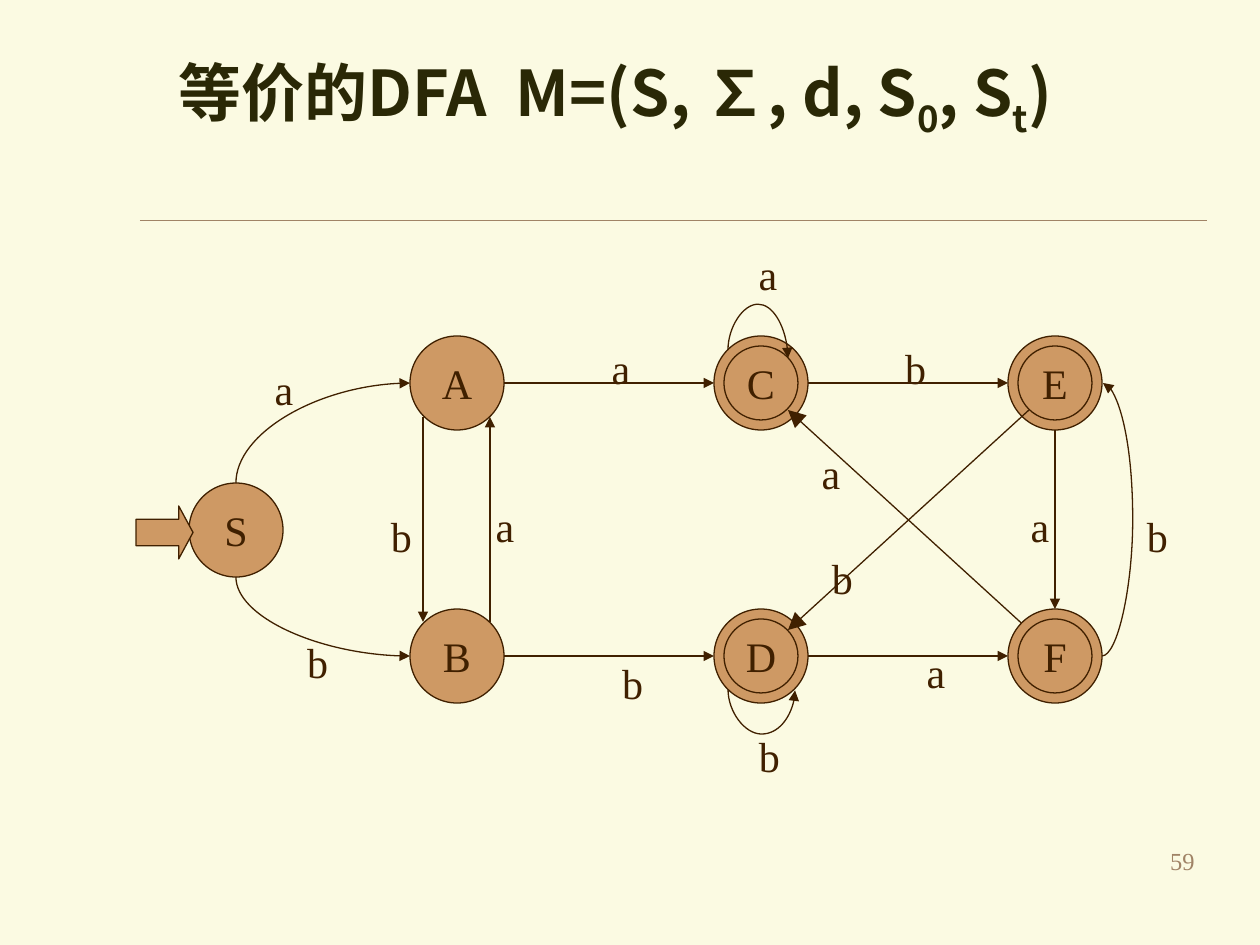
from lxml import etree
from pptx import Presentation, util as u
from pptx.dml.color import RGBColor
from pptx.enum import shapes, text
from pptx.oxml.ns import qn

CREAM = RGBColor(0xFB, 0xFA, 0xE2)
TAN = RGBColor(0xCE, 0x99, 0x64)
BROWN = RGBColor(0x40, 0x20, 0x00)
OLIVE = RGBColor(0x2A, 0x28, 0x06)
DUST = RGBColor(0xA0, 0x83, 0x66)
SERIF, SANS = "Times New Roman", "Noto Sans CJK SC"
SHAPE, LINK = shapes.MSO_SHAPE, shapes.MSO_CONNECTOR
ALIGN, ANCHOR = text.PP_ALIGN, text.MSO_ANCHOR

# Content: title runs as (text, font, is subscript)
TITLE = [("等价的", SERIF, False), ("DFA  M=(S, ∑, d, S", SANS, False),
         ("0", SANS, True), (", S", SANS, False), ("t", SANS, True),
         (")", SANS, False)]
# State: centre x, centre y, is accepting
STATES = {"S": (236, 530, False), "A": (457, 383, False),
          "B": (457, 656, False), "C": (761, 383, True),
          "D": (761, 656, True), "E": (1055, 383, True),
          "F": (1055, 656, True)}
RADIUS, INNER_RADIUS = 47, 37
HORIZONTAL = ["AC", "CE", "BD", "DF"]
VERTICAL = [((423, 417), (423, 622)), ((490, 622), (490, 417)),
            ((1055, 430), (1055, 609))]
DIAGONAL = [((1029, 630), (788, 410)), ((1029, 410), (788, 630))]
# Curve: start, end, rotation, flip, bulge (None for a quarter curve)
CURVES = [((236, 483), (410, 383), 270, None, None),
          ((236, 577), (410, 656), 270, "flipH", None),
          ((1102, 656), (1102, 383), 0, "flipV", 31),
          ((728, 350), (788, 358), 90, "flipV", -46),
          ((728, 690), (795, 690), 270, "flipH", 45)]
# Transition letters: left and top of each label
LABELS = {"a": [(746, 242), (262, 357), (483, 494), (599, 336), (1018, 494),
                (914, 640), (809, 441)],
          "b": [(1134, 504), (294, 630), (378, 504), (609, 651), (892, 336),
                (746, 724), (819, 546)]}
LABEL_WIDTH = {"a": 44, "b": 47}


def px(length):
    return u.Emu(round(length * 914400 / 126))


presentation = Presentation()
presentation.slide_width, presentation.slide_height = px(1260), px(945)
slide = presentation.slides.add_slide(presentation.slide_layouts[6])
slide.background.fill.solid()
slide.background.fill.fore_color.rgb = CREAM


def write(frame, runs, size=24, color=BROWN, bold=False, align=ALIGN.CENTER,
          anchor=ANCHOR.MIDDLE, wrap=False):
    frame.word_wrap = wrap
    frame.vertical_anchor = anchor
    paragraph = frame.paragraphs[0]
    paragraph.alignment = align
    for words, face, subscript in runs:
        run = paragraph.add_run()
        run.text = words
        font = run.font
        font.name, font.size, font.bold = face, u.Pt(size), bold
        font.color.rgb = color
        properties = run._r.get_or_add_rPr()
        etree.SubElement(properties, qn("a:ea")).set("typeface", SANS)
        if subscript:
            properties.set("baseline", "-25000")


def add_text(left, top, width, height, runs, **style):
    box = slide.shapes.add_textbox(px(left), px(top), px(width), px(height))
    write(box.text_frame, runs, **style)
    return box


def add_filled(kind, left, top, width, height):
    shape = slide.shapes.add_shape(kind, px(left), px(top), px(width), px(height))
    shape.shadow.inherit = False
    shape.fill.solid()
    shape.fill.fore_color.rgb = TAN
    shape.line.color.rgb = BROWN
    shape.line.width = u.Pt(0.75)
    return shape


def add_state(name):
    x, y, accepting = STATES[name]
    for radius in (RADIUS, INNER_RADIUS) if accepting else (RADIUS,):
        circle = add_filled(SHAPE.OVAL, x - radius, y - radius, 2 * radius, 2 * radius)
    write(circle.text_frame, [(name, SERIF, False)])


def add_line(start, end, kind=LINK.STRAIGHT, color=BROWN, width=0.75, head="med"):
    line = slide.shapes.add_connector(kind, *map(px, start + end))
    line.line.color.rgb = color
    line.line.width = u.Pt(width)
    if head:
        tail = etree.SubElement(line.line._get_or_add_ln(), qn("a:tailEnd"))
        for key, value in (("type", "triangle"), ("w", head), ("len", head)):
            tail.set(key, value)
    etree.SubElement(line._element.spPr, qn("a:effectLst"))
    return line


def add_curve(start, end, rotation, flip, bulge):
    curve = add_line(start, end, LINK.CURVE)
    width, height = (max(1, abs(b - a)) for a, b in zip(start, end))
    if rotation:
        width, height = height, width
    properties = curve._element.spPr
    frame = properties.find(qn("a:xfrm"))
    for key in ("flipH", "flipV"):
        frame.attrib.pop(key, None)
    curve.left = px((start[0] + end[0] - width) / 2)
    curve.top = px((start[1] + end[1] - height) / 2)
    if not rotation:
        curve.left = px(start[0])
    curve.width, curve.height = px(width), px(height)
    frame.set("rot", str(rotation * 60000))
    if flip:
        frame.set(flip, "1")
    geometry = properties.find(qn("a:prstGeom"))
    if bulge is None:
        geometry.set("prst", "curvedConnector2")
    else:
        guides = geometry.find(qn("a:avLst"))
        if guides is None:
            guides = etree.SubElement(geometry, qn("a:avLst"))
        guide = etree.SubElement(guides, qn("a:gd"))
        guide.set("name", "adj1")
        guide.set("fmla", f"val {round(bulge / width * 100000)}")


# Title and rule
add_line((140, 220), (1207, 220), color=DUST, width=0.25, head=None)
title = add_text(136, 63, 1071, 157, TITLE, size=36, color=OLIVE, bold=True,
                 align=ALIGN.LEFT, wrap=True)
title.text_frame.margin_left = px(43)
title.text_frame.margin_top, title.text_frame.margin_bottom = 0, px(90)

# States; F comes last, over the diagonals
for name in "CDBAES":
    add_state(name)

# Transitions
for source, target in HORIZONTAL:
    (x1, y, _), (x2, _, _) = STATES[source], STATES[target]
    add_line((x1 + RADIUS, y), (x2 - RADIUS, y))
for start, end in VERTICAL:
    add_line(start, end)
for curve in CURVES:
    add_curve(*curve)
for start, end in DIAGONAL:
    add_line(start, end, head="lg")
add_state("F")

# Transition letters
for letter, places in LABELS.items():
    for left, top in places:
        add_text(left, top, LABEL_WIDTH[letter], 63, [(letter, SERIF, False)])

# Start arrow
arrow = add_filled(SHAPE.RIGHT_ARROW, 136, 506, 57, 53)
arrow.adjustments[0], arrow.adjustments[1] = 0.5, 0.27

# Page number
add_text(945, 840, 262, 63, [("59", SERIF, False)], size=14, color=DUST,
         align=ALIGN.RIGHT, anchor=ANCHOR.TOP, wrap=True)

presentation.save("out.pptx")
